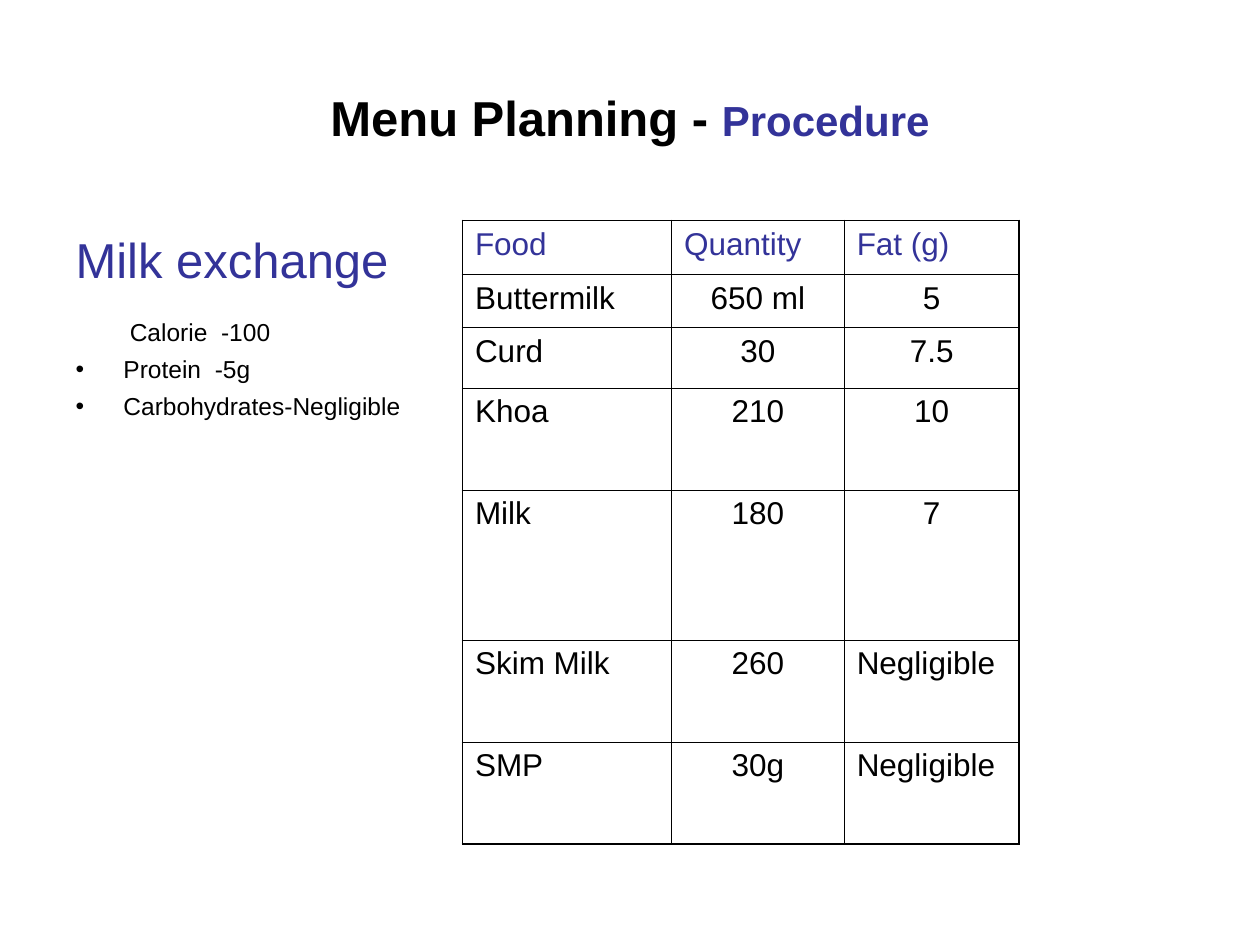
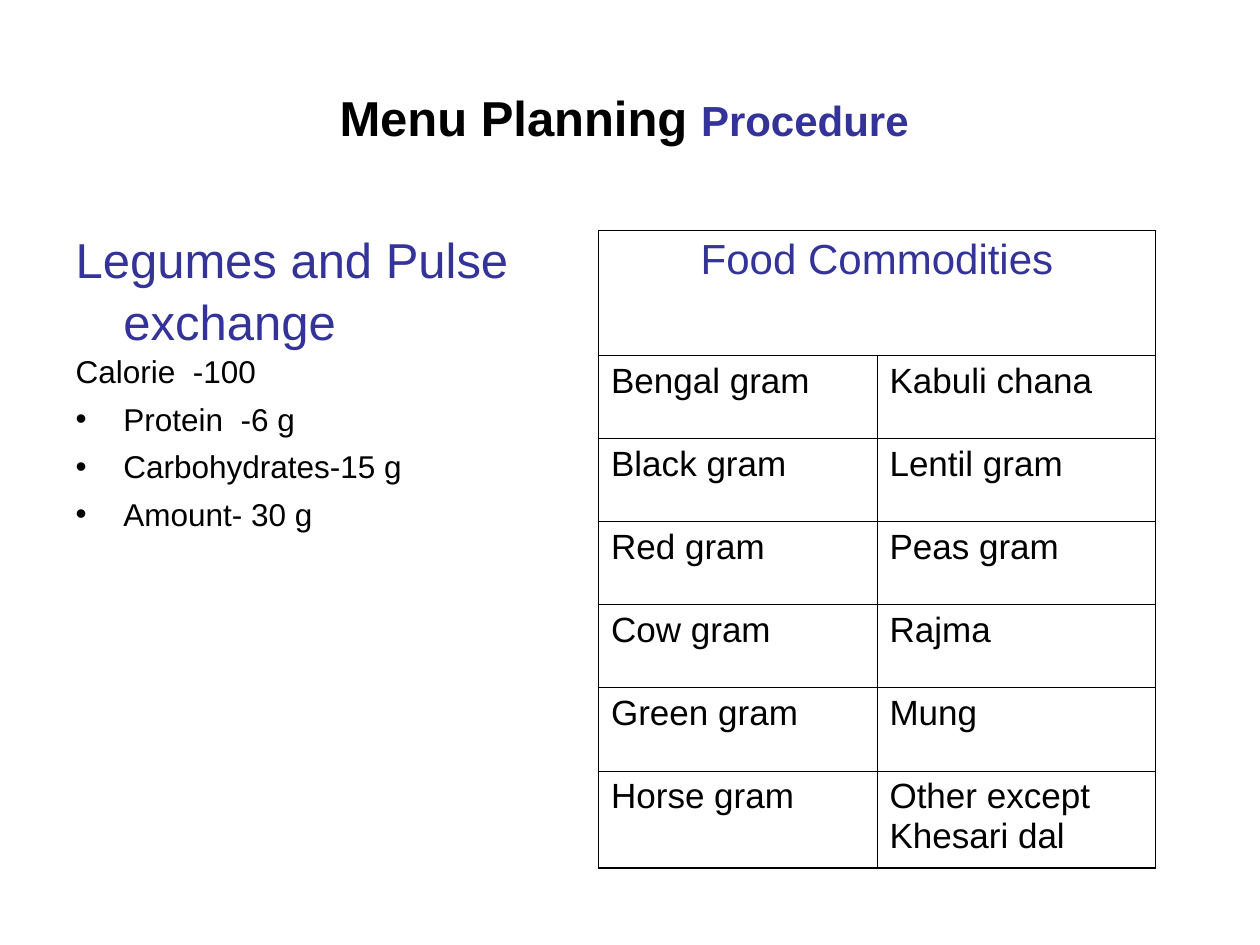
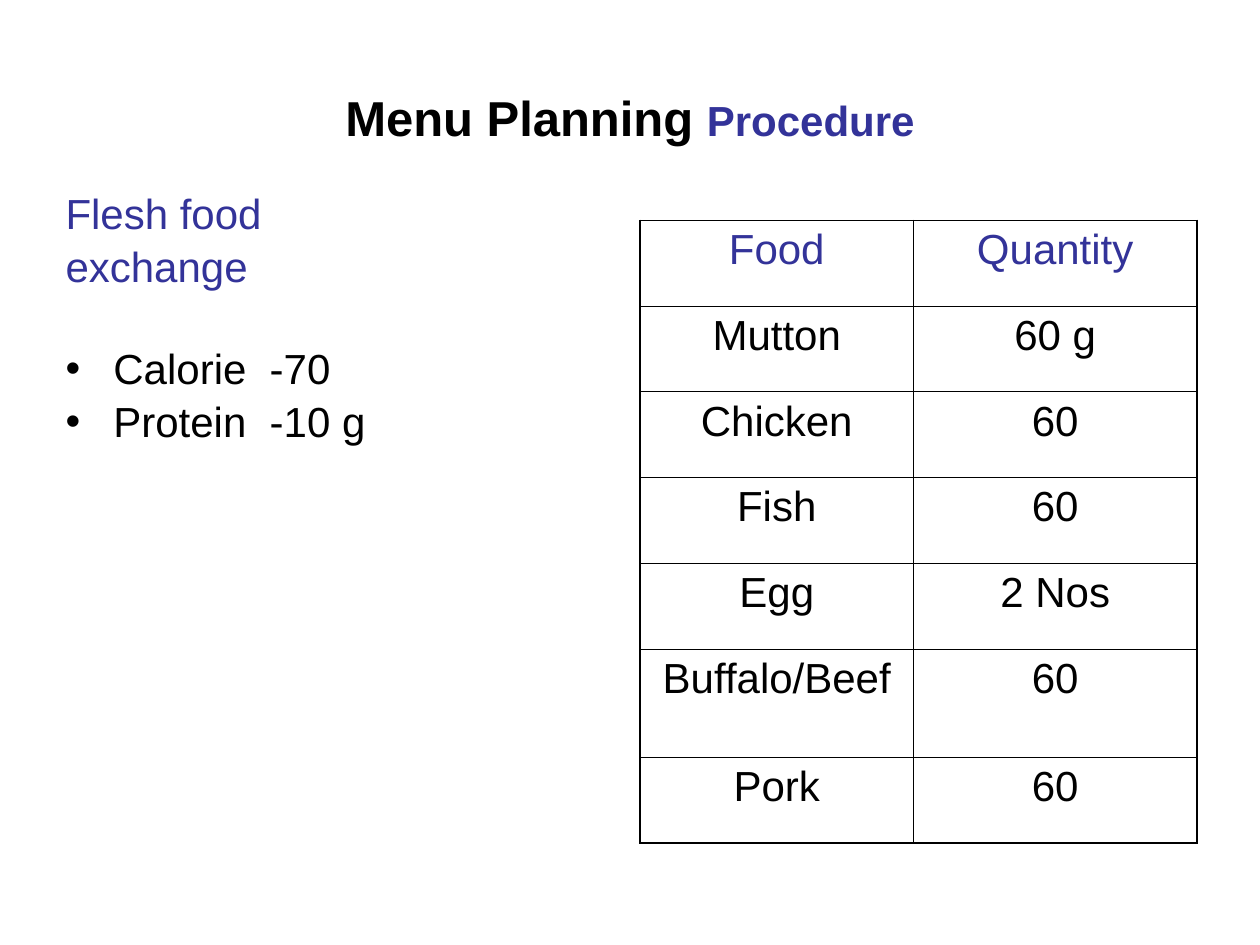
from lxml import etree
from pptx import Presentation
from pptx.dml.color import RGBColor
from pptx.enum.text import MSO_ANCHOR, MSO_AUTO_SIZE, PP_ALIGN
from pptx.oxml.ns import qn
from pptx.util import Inches, Pt

BLACK = "000000"
INDIGO = "333399"
FONT = "Arial"
THIN, THICK = 0.45, 1.08
HANGING = 0.38
LEFT, CENTER = PP_ALIGN.LEFT, PP_ALIGN.CENTER

# A list line is: text, size, colour, bulleted, left margin, first-line indent, space before
SLIDES = [
    {
        "title": ("Menu Planning - ", "Procedure"),
        "list_box": (0.5, 1.75, 3, 1.83),
        "line_spacing": 1.05,
        "lines": [
            ("Milk exchange", 28, INDIGO, False, HANGING, -HANGING, 0),
            ("Calorie  -100", 14, BLACK, False, 0.43, 0, 15.5),
            ("Protein  -5g", 14, BLACK, True, HANGING, -HANGING, 3.5),
            ("Carbohydrates-Negligible", 14, BLACK, True, HANGING, -HANGING, 3.5),
        ],
        "table_corner": (3.67, 1.75),
        "columns": [1.66, 1.37, 1.39],
        "rows": [0.43, 0.42, 0.48, 0.81, 1.19, 0.81, 0.81],
        "header_size": 18,
        "cell_size": 18,
        "header_align": LEFT,
        "column_aligns": [LEFT, CENTER, CENTER],
        "cells": [
            ["Food", "Quantity", "Fat (g)"],
            ["Buttermilk", "650 ml", "5"],
            ["Curd", "30", "7.5"],
            ["Khoa", "210", "10"],
            ["Milk", "180", "7"],
            ["Skim Milk", "260", "Negligible"],
            ["SMP", "30g", "Negligible"],
        ],
    },
    {
        "title": ("Menu Planning ", "Procedure "),
        "list_box": (0.5, 1.75, 3.67, 4.08),
        "line_spacing": 1.05,
        "lines": [
            ("Legumes and Pulse exchange", 28, INDIGO, False, HANGING, -HANGING, 0),
            ("Calorie  -100", 18, BLACK, False, HANGING, -HANGING, 0),
            ("Protein  -6 g", 18, BLACK, True, HANGING, -HANGING, 4.5),
            ("Carbohydrates-15 g", 18, BLACK, True, HANGING, -HANGING, 4.5),
            ("Amount- 30 g", 18, BLACK, True, HANGING, -HANGING, 4.5),
        ],
        "table_corner": (4.75, 1.83),
        "columns": [2.21, 2.21],
        "rows": [0.99] + [0.66] * 5 + [0.77],
        "header_size": 24,
        "cell_size": 20,
        "header_align": CENTER,
        "column_aligns": [LEFT, LEFT],
        "cells": [
            ["Food Commodities"],
            ["Bengal gram", "Kabuli chana"],
            ["Black gram", "Lentil gram"],
            ["Red gram", "Peas gram"],
            ["Cow gram", "Rajma"],
            ["Green gram", "Mung"],
            ["Horse gram", "Other except Khesari dal"],
        ],
    },
    {
        "title": ("Menu Planning ", "Procedure"),
        "list_box": (0.42, 1.5, 2.92, 2.17),
        "line_spacing": 0.84,
        "lines": [
            ("Flesh food", 24, INDIGO, False, HANGING, -HANGING, 0),
            ("exchange", 24, INDIGO, False, HANGING, -HANGING, 6),
            ("Calorie  -70", 24, BLACK, True, HANGING, -HANGING, 34.5),
            ("Protein  -10 g", 24, BLACK, True, HANGING, -HANGING, 6),
        ],
        "table_corner": (5.08, 1.75),
        "columns": [2.17, 2.25],
        "rows": [0.68] * 5 + [0.86, 0.68],
        "header_size": 24,
        "cell_size": 24,
        "header_align": CENTER,
        "column_aligns": [CENTER, CENTER],
        "cells": [
            ["Food", "Quantity"],
            ["Mutton", "60 g"],
            ["Chicken", "60"],
            ["Fish", "60"],
            ["Egg", "2 Nos"],
            ["Buffalo/Beef", "60"],
            ["Pork", "60"],
        ],
    },
]


def set_font(font, size, color, bold=False):
    font.name = FONT
    font.size = Pt(size)
    font.bold = bold
    font.color.rgb = RGBColor.from_string(color)


def add_border(cell, side, width):
    """Draw one cell edge; side is L, R, T or B, added in that order."""
    edge = etree.SubElement(cell._tc.get_or_add_tcPr(), qn(f"a:ln{side}"), w=str(Pt(width)))
    fill = etree.SubElement(edge, qn("a:solidFill"))
    etree.SubElement(fill, qn("a:srgbClr"), val=BLACK)


deck = Presentation()
deck.slide_width, deck.slide_height = Inches(10), Inches(7.5)

for content in SLIDES:
    page = deck.slides.add_slide(deck.slide_layouts[1])

    title = page.shapes.title
    title.left, title.top, title.width, title.height = map(Inches, (0.5, 0.3, 9, 1.25))
    title.text_frame.auto_size = MSO_AUTO_SIZE.NONE
    title.text_frame.vertical_anchor = MSO_ANCHOR.MIDDLE
    para = title.text_frame.paragraphs[0]
    para.alignment = CENTER
    for text, size, color in zip(content["title"], (28, 24), (BLACK, INDIGO)):
        span = para.add_run()
        span.text = text
        set_font(span.font, size, color, bold=True)

    body = page.placeholders[1]
    body.left, body.top, body.width, body.height = map(Inches, content["list_box"])
    body.text_frame.auto_size = MSO_AUTO_SIZE.NONE
    body.text_frame.text = "\n".join(line[0] for line in content["lines"])
    for para, line in zip(body.text_frame.paragraphs, content["lines"]):
        text, size, color, bulleted, margin, indent, space_before = line
        para.line_spacing = content["line_spacing"]
        para.space_before = Pt(space_before)
        properties = para._p.get_or_add_pPr()
        properties.set("marL", str(Inches(margin)))
        properties.set("indent", str(Inches(indent)))
        if bulleted:
            etree.SubElement(properties, qn("a:buChar"), char="•")
        else:
            etree.SubElement(properties, qn("a:buNone"))
        set_font(para.font, size, color)

    columns, rows = content["columns"], content["rows"]
    left, top = content["table_corner"]
    frame = page.shapes.add_table(
        len(rows), len(columns),
        Inches(left), Inches(top), Inches(sum(columns)), Inches(sum(rows)),
    )
    table = frame.table
    table.first_row = table.horz_banding = False
    for column, width in zip(table.columns, columns):
        column.width = Inches(width)
    for row, height in zip(table.rows, rows):
        row.height = Inches(height)

    for row_index, texts in enumerate(content["cells"]):
        is_header = row_index == 0
        if len(texts) < len(columns):
            table.cell(row_index, 0).merge(table.cell(row_index, len(columns) - 1))
        for column_index, text in enumerate(texts):
            cell = table.cell(row_index, column_index)
            at_right = column_index == len(texts) - 1
            at_bottom = row_index == len(rows) - 1
            add_border(cell, "L", THICK if column_index == 0 else THIN)
            add_border(cell, "R", THICK if at_right else THIN)
            add_border(cell, "T", THICK if is_header else THIN)
            add_border(cell, "B", THICK if at_bottom else THIN)
            cell.fill.background()
            cell.text = text
            para = cell.text_frame.paragraphs[0]
            if is_header:
                para.alignment = content["header_align"]
                set_font(para.font, content["header_size"], INDIGO)
            else:
                is_word = text == "Negligible"
                para.alignment = LEFT if is_word else content["column_aligns"][column_index]
                set_font(para.font, content["cell_size"], BLACK)

deck.save("out.pptx")
